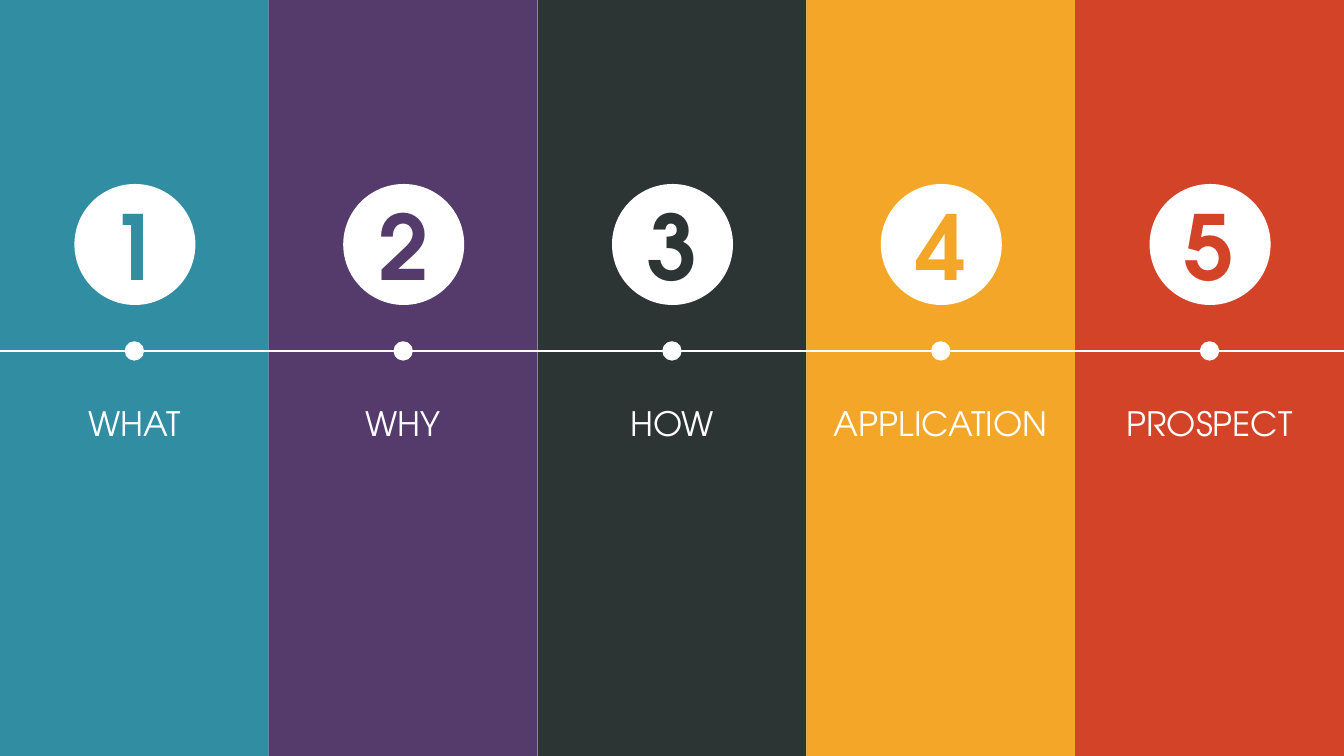
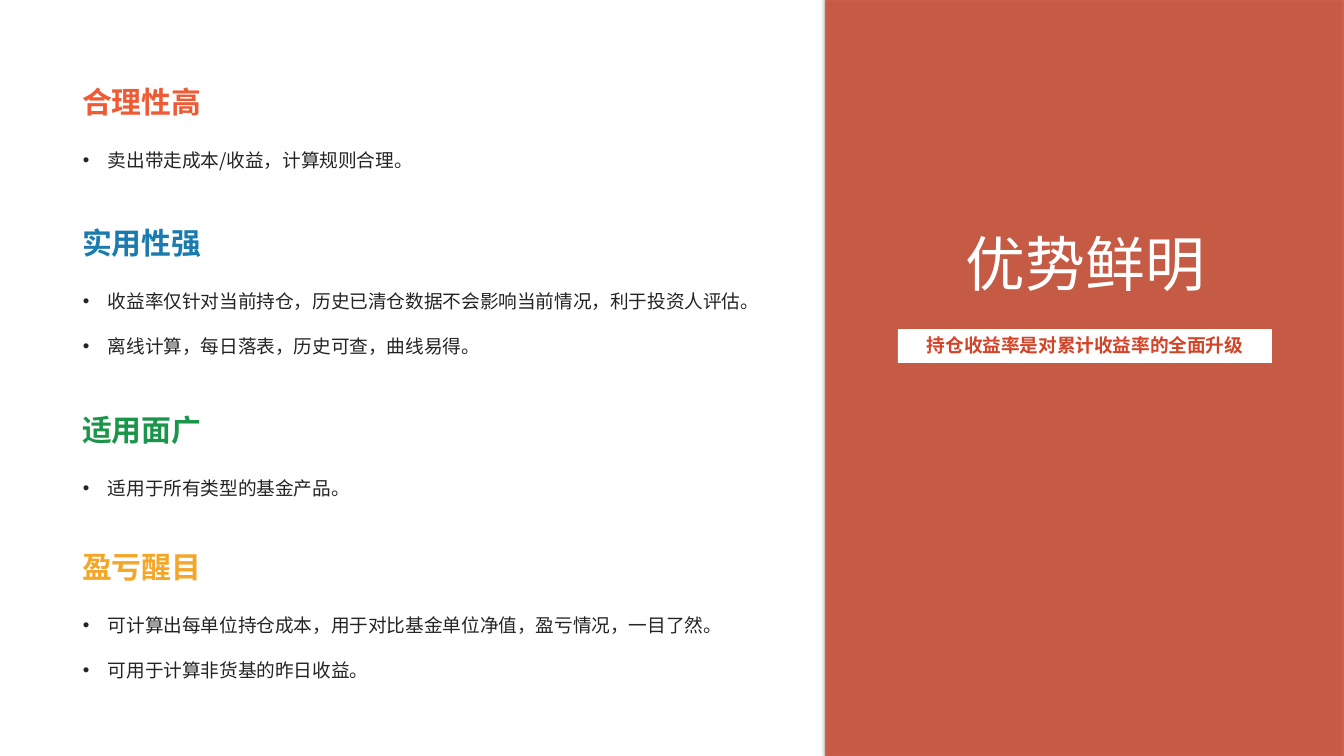
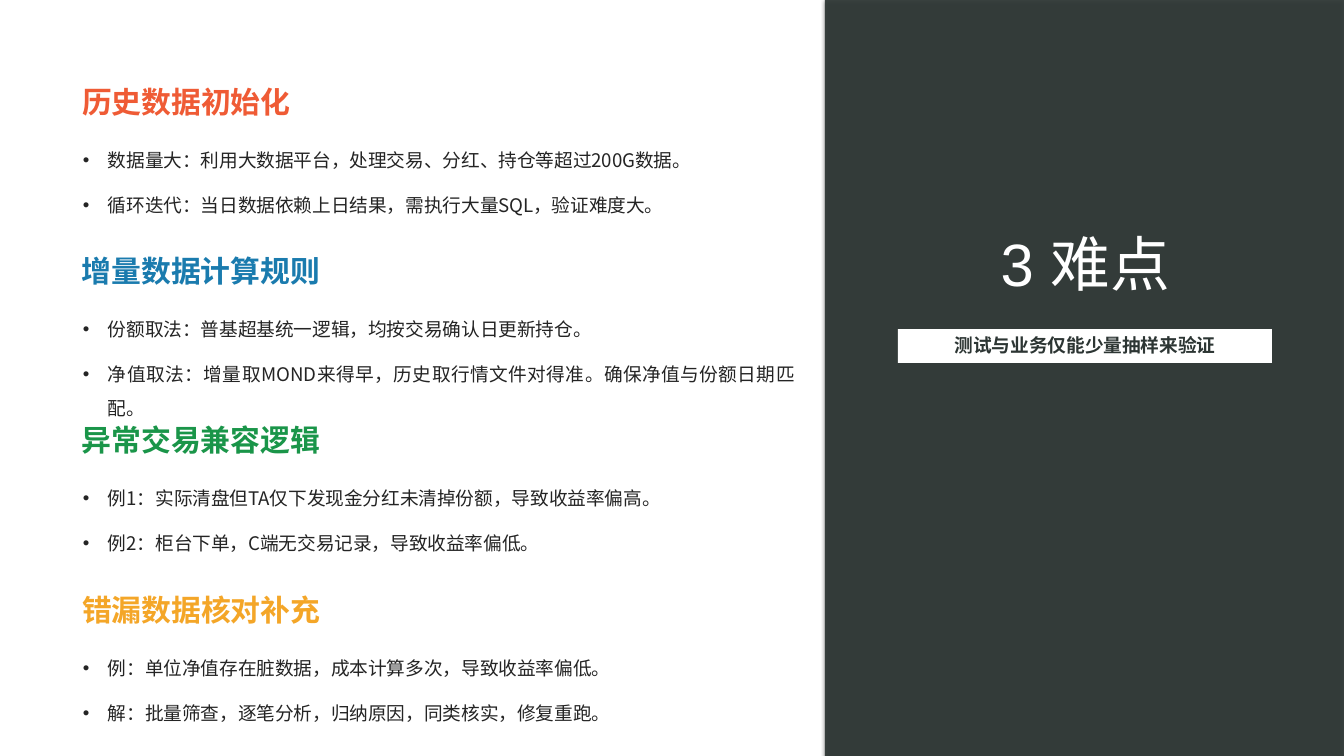
from pptx import Presentation
from pptx.dml.color import RGBColor as Rgb
from pptx.enum.shapes import MSO_CONNECTOR as Conn, MSO_SHAPE as Kind
from pptx.enum.text import MSO_ANCHOR as Anchor, MSO_AUTO_SIZE as Auto, PP_ALIGN as Align
from pptx.oxml.ns import qn
from pptx.util import Emu, Pt
from lxml.etree import SubElement as Sub

WIDE, HIGH = 1344, 756
HUE = {
    "teal": "308DA2", "plum": "553A6C", "dark": "2C3533", "gold": "F4A628",
    "red": "D34328", "coral": "EF5B35", "blue": "1A7BAE", "green": "1A9549",
    "ink": "242424", "white": "FFFFFF", "black": "000000",
}
CJK, SANS, GEO = "Noto Sans CJK SC", "Arial", "TeX Gyre Adventor"
THIN = (10, 5)    # side and top insets
WIDER = (13, 7)


def px(num):
    return Emu(round(num * 914400 / 134.4))


def rgb(name):
    return Rgb.from_string(HUE[name])


# Text
def bullet(para):
    props = para._p.get_or_add_pPr()
    props.set("marL", str(px(26)))
    props.set("indent", str(px(-25)))
    Sub(props, qn("a:buFont"), typeface=SANS)
    Sub(props, qn("a:buChar"), char="•")


def write(shape, *lines, size=10, font=CJK, hue="ink", bold=False, align=Align.LEFT,
          anchor=Anchor.TOP, inset=THIN, space=None, gap=0, marks=False, grow=True):
    frame = shape.text_frame
    frame.word_wrap = True
    frame.auto_size = Auto.SHAPE_TO_FIT_TEXT if grow else Auto.NONE
    frame.vertical_anchor = anchor
    frame.margin_left = frame.margin_right = px(inset[0])
    frame.margin_top = frame.margin_bottom = px(inset[1])
    for i, line in enumerate(lines):
        para = frame.paragraphs[0] if i == 0 else frame.add_paragraph()
        if marks:
            bullet(para)
        para.alignment = align
        if space:
            para.line_spacing = space
        if i and gap:
            para.space_before = Pt(gap)
        run = para.add_run()
        run.text = line
        run.font.size, run.font.bold, run.font.name = Pt(size), bold, font
        run.font.color.rgb = rgb(hue)
        Sub(run._r.get_or_add_rPr(), qn("a:ea"), typeface=CJK)


def label(home, box, *lines, **form):
    write(home.shapes.add_textbox(*map(px, box)), *lines, **form)


# Shapes
def block(slide, box, hue, kind=Kind.RECTANGLE, edge=None):
    shape = slide.shapes.add_shape(kind, *map(px, box))
    shape.shadow.inherit = False
    shape.fill.solid()
    shape.fill.fore_color.rgb = rgb(hue)
    if edge:
        shape.line.color.rgb = rgb(hue)
        shape.line.width = Pt(edge)
    else:
        shape.line.fill.background()
    return shape


def rule(slide, top):
    line = slide.shapes.add_connector(Conn.STRAIGHT, 0, px(top), px(WIDE), px(top))
    line.line.color.rgb = rgb("white")
    line.line.width = Pt(1)
    Sub(line._element.spPr, qn("a:effectLst"))


def panel(slide, top, hue, alpha):
    props = block(slide, (825, top, 519, 759), hue)._element.spPr
    tint = props.find(qn("a:solidFill"))[0]
    Sub(tint, qn("a:alpha"), val=str(alpha * 1000))
    cast = Sub(props.find(qn("a:effectLst")), qn("a:outerShdw"), blurRad=str(Pt(2)),
               dist=str(Pt(1)), dir="5400000", algn="t", rotWithShape="0")
    shade = Sub(cast, qn("a:srgbClr"), val=HUE["black"])
    Sub(shade, qn("a:alpha"), val="50000")


# Slide kinds
def steps(slide, items):
    band = WIDE / len(items)
    for i, (hue, _, _) in enumerate(items):
        block(slide, (i * band, 0, band, HIGH), hue)
    rule(slide, 351)
    for i, (hue, word, width) in enumerate(items):
        mid = (i + 0.5) * band
        block(slide, (mid - 9, 342, 18, 18), "white", Kind.OVAL, edge=0.75)
        disc = block(slide, (mid - 60, 184, 121, 121), "white", Kind.OVAL)
        write(disc, str(i + 1), size=48, font=GEO, hue=hue, bold=True,
              align=Align.CENTER, anchor=Anchor.MIDDLE, grow=False)
        label(slide, (mid - width / 2, 386, width, 63), word, size=18, font=GEO,
              hue="white", align=Align.CENTER, space=1.3)


def points(slide, title, note, hue, alpha, top, parts):
    panel(slide, top, hue, alpha)
    strip = block(slide, (898, 329, 374, 34), "white")
    write(strip, note, font=SANS, hue=hue, bold=True, align=Align.CENTER)
    label(slide, (933, 222, 305, 82), title, size=32, font=SANS, hue="white",
          align=Align.CENTER)
    for tone, (y, width, high, head, *lines) in zip(("coral", "blue", "green", "gold"), parts):
        group = slide.shapes.add_group_shape()
        label(group, (69, y, width, 50), head, size=16, hue=tone, bold=True, inset=WIDER)
        label(group, (69, y + 54, 739, high), *lines, align=Align.JUSTIFY,
              inset=WIDER, space=1.5, gap=6, marks=True)


def main():
    deck = Presentation()
    deck.slide_width, deck.slide_height = px(WIDE), px(HIGH)
    one, two, three = (deck.slides.add_slide(deck.slide_layouts[6]) for _ in range(3))

    # Agenda
    steps(one, [
        ("teal", "WHAT", 163), ("plum", "WHY", 163), ("dark", "HOW", 163),
        ("gold", "APPLICATION", 269), ("red", "PROSPECT", 189),
    ])

    # Strengths
    points(two, "优势鲜明", "持仓收益率是对累计收益率的全面升级", "red", 75, -3, [
        (77, 246, 47, "合理性高", "卖出带走成本/收益，计算规则合理。"),
        (218, 246, 93, "实用性强",
         "收益率仅针对当前持仓，历史已清仓数据不会影响当前情况，利于投资人评估。",
         "离线计算，每日落表，历史可查，曲线易得。"),
        (405, 246, 47, "适用面广", "适用于所有类型的基金产品。"),
        (542, 293, 93, "盈亏醒目",
         "可计算出每单位持仓成本，用于对比基金单位净值，盈亏情况，一目了然。",
         "可用于计算非货基的昨日收益。"),
    ])

    # Hard parts
    points(three, "3 难点", "测试与业务仅能少量抽样来验证", "dark", 92, 0, [
        (77, 246, 93, "历史数据初始化",
         "数据量大：利用大数据平台，处理交易、分红、持仓等超过200G数据。",
         "循环迭代：当日数据依赖上日结果，需执行大量SQL，验证难度大。"),
        (246, 269, 126, "增量数据计算规则",
         "份额取法：普基超基统一逻辑，均按交易确认日更新持仓。",
         "净值取法：增量取MOND来得早，历史取行情文件对得准。确保净值与份额日期匹配。"),
        (415, 269, 93, "异常交易兼容逻辑",
         "例1：实际清盘但TA仅下发现金分红未清掉份额，导致收益率偏高。",
         "例2：柜台下单，C端无交易记录，导致收益率偏低。"),
        (585, 293, 93, "错漏数据核对补充",
         "例：单位净值存在脏数据，成本计算多次，导致收益率偏低。",
         "解：批量筛查，逐笔分析，归纳原因，同类核实，修复重跑。"),
    ])
    deck.save("out.pptx")


if __name__ == "__main__":
    main()
